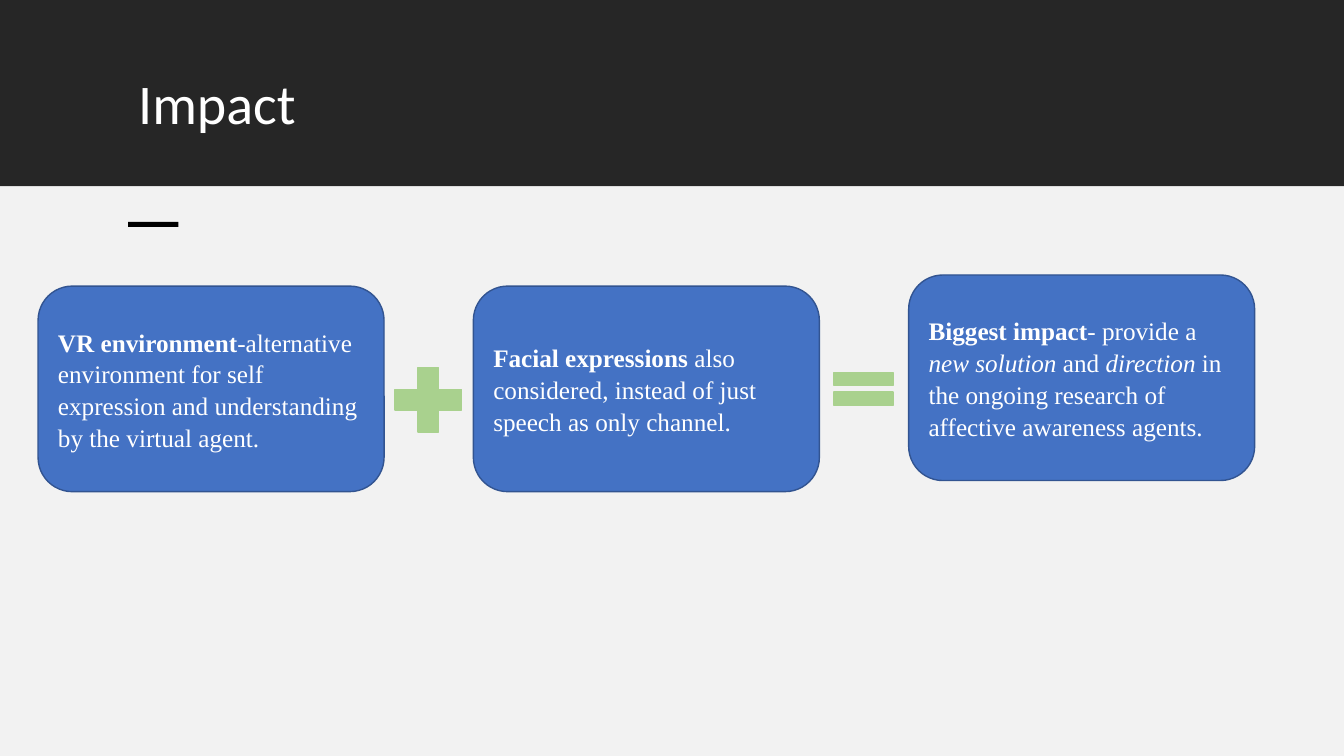
"""Build the Impact slide: two boxes that add up to a third."""
from pptx import Presentation
from pptx.dml.color import RGBColor
from pptx.enum.shapes import MSO_SHAPE
from pptx.enum.text import MSO_ANCHOR, PP_ALIGN
from pptx.util import Cm, Pt

DARK = RGBColor(0x26, 0x26, 0x26)
PALE = RGBColor(0xF2, 0xF2, 0xF2)
BLACK = RGBColor(0x00, 0x00, 0x00)
WHITE = RGBColor(0xFF, 0xFF, 0xFF)
BLUE = RGBColor(0x44, 0x72, 0xC4)
NAVY = RGBColor(0x32, 0x54, 0x91)
GREEN = RGBColor(0xA9, 0xD1, 0x8E)

WIDE, HIGH = 33.87, 19.05
BAND = 4.7
LEFT = 3.23
BOX_LEFT, BOX_STEP = 0.96, 10.97
BOX_WIDE, BOX_HIGH = 8.72, 5.18

BOXES = [
    (7.21, 8, [
        ("VR environment", {"bold": True}),
        ("-alternative environment for self expression and understanding "
         "by the virtual agent.", {}),
    ]),
    (7.21, 8, [
        ("Facial expressions ", {"bold": True}),
        ("also considered, instead of just speech as only channel.", {}),
    ]),
    (6.93, 0, [
        ("Biggest impact", {"bold": True}),
        ("- provide a ", {}),
        ("new solution ", {"italic": True}),
        ("and ", {}),
        ("direction", {"italic": True}),
        (" in the ongoing research of affective awareness agents.", {}),
    ]),
]


def add_text(para, text, size=18, font="Times New Roman", color=WHITE,
             bold=False, italic=False):
    """Add a formatted run to a paragraph."""
    run = para.add_run()
    run.text = text
    run.font.size = Pt(size)
    run.font.name = font
    run.font.color.rgb = color
    run.font.bold = bold
    run.font.italic = italic


def add_form(slide, kind, left, top, width, height, fill, line=None):
    """Add a filled shape, with an outline only when a line colour is given."""
    form = slide.shapes.add_shape(kind, Cm(left), Cm(top), Cm(width), Cm(height))
    form.shadow.inherit = False
    form.fill.solid()
    form.fill.fore_color.rgb = fill
    if line is None:
        form.line.fill.background()
    else:
        form.line.color.rgb = line
        form.line.width = Pt(1)
    return form


def add_box(slide, left, top, after, parts):
    """Add a rounded box holding one paragraph of mixed runs."""
    box = add_form(slide, MSO_SHAPE.ROUNDED_RECTANGLE, left, top,
                   BOX_WIDE, BOX_HIGH, BLUE, NAVY)
    frame = box.text_frame
    frame.word_wrap = True
    frame.vertical_anchor = MSO_ANCHOR.MIDDLE
    para = frame.paragraphs[0]
    para.alignment = PP_ALIGN.LEFT
    para.line_spacing = 1.05
    para.space_after = Pt(after)
    for text, style in parts:
        add_text(para, text, **style)


def set_title(slide, text):
    """Place the title in front of the dark band."""
    title = slide.shapes.title
    title.left, title.top = Cm(LEFT), Cm(1.78)
    title.width, title.height = Cm(27.46), Cm(2.49)
    slide.shapes._spTree.append(title._element)
    frame = title.text_frame
    frame.word_wrap = True
    frame.vertical_anchor = MSO_ANCHOR.TOP
    para = frame.paragraphs[0]
    para.alignment = PP_ALIGN.LEFT
    para.line_spacing = 0.9
    add_text(para, text, size=40, font="Calibri")


def main():
    """Build and save the slide."""
    deck = Presentation()
    deck.slide_width, deck.slide_height = Cm(WIDE), Cm(HIGH)
    slide = deck.slides.add_slide(deck.slide_layouts[5])
    add_form(slide, MSO_SHAPE.RECTANGLE, 0, 0, WIDE, BAND, DARK)
    set_title(slide, "Impact")
    add_form(slide, MSO_SHAPE.RECTANGLE, 0, BAND, WIDE, HIGH - BAND, PALE)
    add_form(slide, MSO_SHAPE.RECTANGLE, LEFT, 5.59, 1.27, 0.13, BLACK)
    for index, (top, after, parts) in enumerate(BOXES):
        add_box(slide, BOX_LEFT + index * BOX_STEP, top, after, parts)
    add_form(slide, MSO_SHAPE.MATH_PLUS, 9.65, 8.97, 2.29, 2.21, GREEN, GREEN)
    add_form(slide, MSO_SHAPE.MATH_EQUAL, 20.75, 9.09, 2.03, 1.42, GREEN, GREEN)
    deck.save("out.pptx")


if __name__ == "__main__":
    main()
